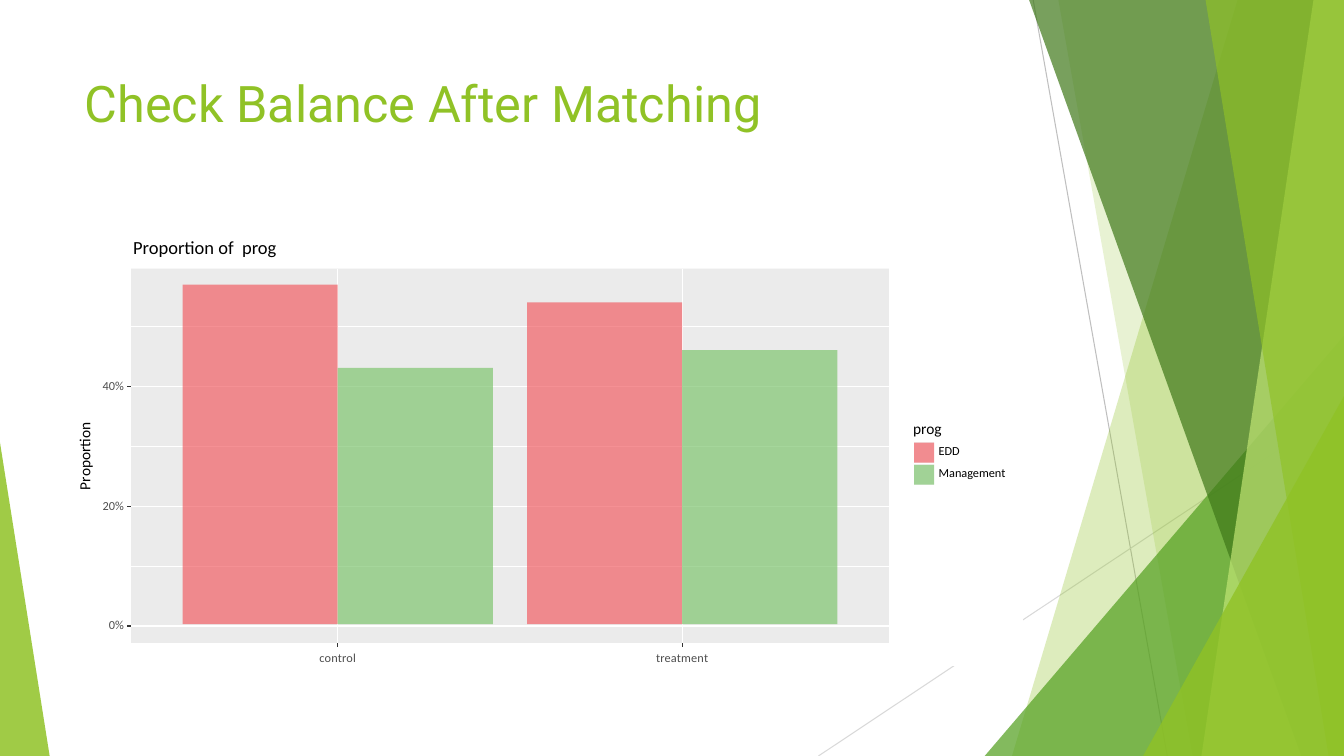
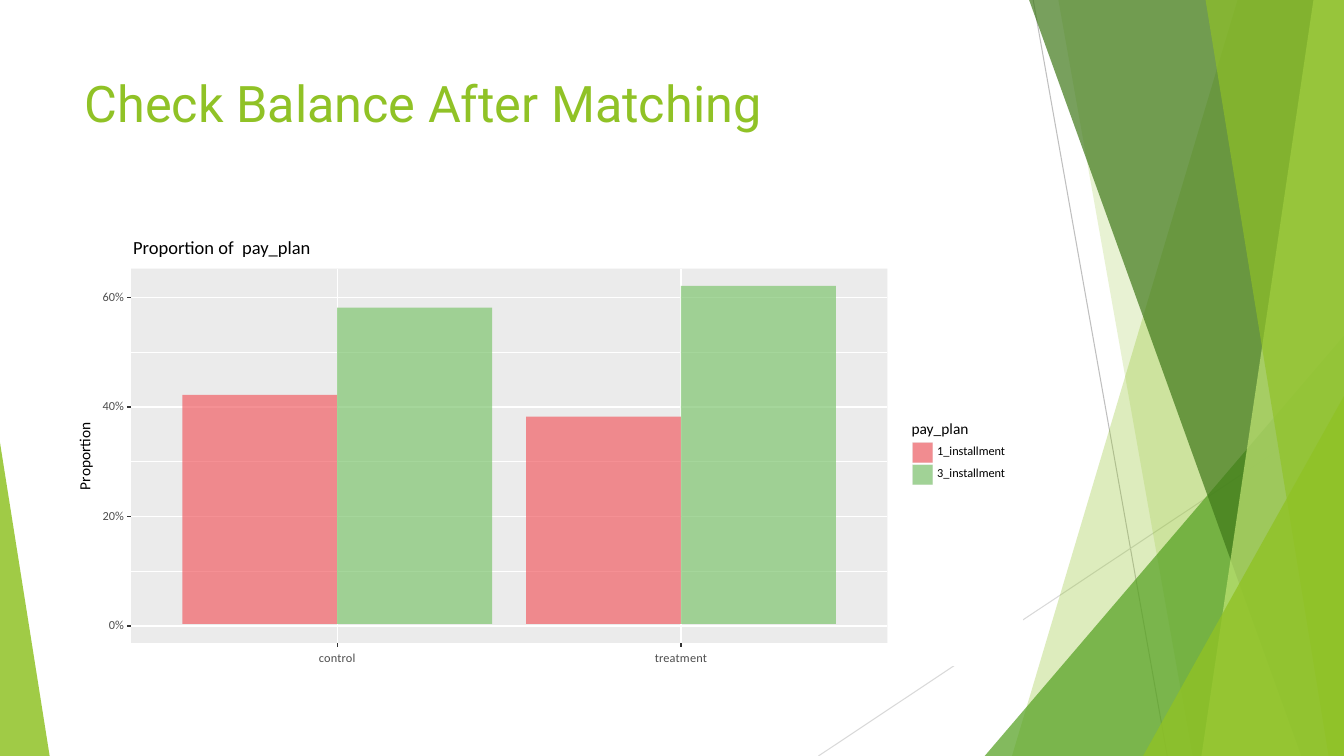
from pptx import Presentation
from pptx.chart.data import CategoryChartData
from pptx.dml.color import RGBColor
from pptx.enum.chart import XL_CHART_TYPE, XL_TICK_LABEL_POSITION, XL_TICK_MARK
from pptx.enum.shapes import MSO_CONNECTOR, MSO_SHAPE
from pptx.enum.text import MSO_ANCHOR, PP_ALIGN
from pptx.oxml import parse_xml
from pptx.oxml.ns import nsdecls, qn
from pptx.util import Pt

RECTANGLE = MSO_SHAPE.RECTANGLE
TRIANGLE = MSO_SHAPE.ISOSCELES_TRIANGLE
STRAIGHT = MSO_CONNECTOR.STRAIGHT
LEFT, CENTER, RIGHT = PP_ALIGN.LEFT, PP_ALIGN.CENTER, PP_ALIGN.RIGHT
MIDDLE, TOP = MSO_ANCHOR.MIDDLE, MSO_ANCHOR.TOP
CLUSTERED = XL_CHART_TYPE.COLUMN_CLUSTERED
LABELS_LOW = XL_TICK_LABEL_POSITION.LOW
NO_TICK = XL_TICK_MARK.NONE

WHITE = RGBColor(0xFF, 0xFF, 0xFF)
BLACK = RGBColor(0x00, 0x00, 0x00)
LIME = RGBColor(0x90, 0xC2, 0x26)
PALE_LIME = RGBColor(0xC0, 0xE4, 0x74)
GREEN = RGBColor(0x54, 0xA0, 0x21)
DARK_GREEN = RGBColor(0x3F, 0x78, 0x19)
PANEL_GRAY = RGBColor(0xEB, 0xEB, 0xEB)
KEY_GRAY = RGBColor(0xF2, 0xF2, 0xF2)
LABEL_GRAY = RGBColor(0x4D, 0x4D, 0x4D)
TICK_GRAY = RGBColor(0x33, 0x33, 0x33)
LINE_GRAY = RGBColor(0xBF, 0xBF, 0xBF)
LIGHT_LINE_GRAY = RGBColor(0xD9, 0xD9, 0xD9)
BAR_RED = RGBColor(0xF1, 0x5A, 0x60)
BAR_GREEN = RGBColor(0x7A, 0xC3, 0x6A)
BAR_COLORS = (BAR_RED, BAR_GREEN)
BAR_OPACITY = 67
CHART_FONT = "Calibri"
SLIDE_WIDTH, SLIDE_HEIGHT = 960, 540


def paint(target, element, color, opacity=100, line=None):
    target.fill.solid()
    target.fill.fore_color.rgb = color
    if opacity < 100:
        fill_color = next(element.iter(qn("a:srgbClr")))
        fill_color.append(parse_xml(f'<a:alpha {nsdecls("a")} val="{opacity * 1000}"/>'))
    if line is None:
        target.line.fill.background()
    else:
        target.line.color.rgb = line
        target.line.width = Pt(1.07)


def add_text(slide, text, left, middle, width, size=8.8, color=BLACK, align=LEFT, rotation=0):
    height = size * 1.2
    box = slide.shapes.add_textbox(Pt(left), Pt(middle - height / 2), Pt(width), Pt(height))
    box.rotation = rotation
    frame = box.text_frame
    frame.word_wrap = False
    frame.vertical_anchor = MIDDLE
    frame.margin_left = frame.margin_right = frame.margin_top = frame.margin_bottom = 0
    paragraph = frame.paragraphs[0]
    paragraph.alignment = align
    paragraph.line_spacing = Pt(size)
    run = paragraph.add_run()
    run.text = text
    run.font.name = CHART_FONT
    run.font.size = Pt(size)
    run.font.color.rgb = color


presentation = Presentation()
presentation.slide_width = Pt(SLIDE_WIDTH)
presentation.slide_height = Pt(SLIDE_HEIGHT)
layout = presentation.slide_layouts[5]

layout_title = layout.placeholders[0]
layout_title.left, layout_title.top = Pt(53.3), Pt(48)
layout_title.width, layout_title.height = Pt(676.8), Pt(104)
layout_title.text_frame.vertical_anchor = TOP
next(layout_title.element.iter(qn("a:lstStyle"))).append(parse_xml(
    f'<a:lvl1pPr {nsdecls("a")} algn="l"><a:defRPr sz="3600">'
    f'<a:solidFill><a:srgbClr val="{LIME}"/></a:solidFill>'
    '<a:latin typeface="Roboto"/></a:defRPr></a:lvl1pPr>'))

slides = [presentation.slides.add_slide(layout) for _ in range(2)]

drawing = slides[0].shapes
decoration = []
for start_x, start_y, end_x, end_y, color in (
    (738, 0, 833.8, 540, LINE_GRAY),
    (960, 290.2, 584.6, 540, LIGHT_LINE_GRAY),
):
    line = drawing.add_connector(STRAIGHT, Pt(start_x), Pt(start_y), Pt(end_x), Pt(end_y))
    line.line.color.rgb = color
    line.line.width = Pt(0.75)
    decoration.append(line)

for color, opacity, geometry in (
    (LIME, 30, (884, 722.9)),
    (LIME, 20, (756, 851.8)),
    (GREEN, 72, (703.4, 239.8, 256.6, 1)),
    (DARK_GREEN, 70, (735.1, 929.5)),
    (PALE_LIME, 70, (938.2, 858.2)),
    (LIME, 65, (861.1, 949)),
    (LIME, 80, (816.5, 283, 143.5, 1)),
    (LIME, 85, (0, 316, 35.5, 0)),
):
    if len(geometry) == 2:
        top_x, bottom_x = geometry
        builder = drawing.build_freeform(Pt(top_x), 0)
        builder.add_line_segments([
            (Pt(SLIDE_WIDTH), 0),
            (Pt(SLIDE_WIDTH), Pt(SLIDE_HEIGHT)),
            (Pt(bottom_x), Pt(SLIDE_HEIGHT)),
        ])
        facet = builder.convert_to_shape()
    else:
        left, top, width, apex = geometry
        facet = drawing.add_shape(TRIANGLE, Pt(left), Pt(top), Pt(width), Pt(SLIDE_HEIGHT - top))
        facet.adjustments[0] = apex
    paint(facet, facet.element, color, opacity)
    decoration.append(facet)

for position, shape in enumerate(decoration, start=2):
    layout.shapes.element.insert(position, shape.element)

CHART_LEFT, CHART_TOP, CHART_WIDTH, CHART_HEIGHT = 53.3, 169.9, 676.8, 305.3
PANEL_LEFT, PANEL_TOP, PANEL_HEIGHT = 93.6, 192, 267.3
PANEL_BOTTOM = PANEL_TOP + PANEL_HEIGHT
PLOT_HEIGHT = PANEL_HEIGHT + 1.2
TICK_LENGTH = 2.7
KEY_SIZE, KEY_TOP, KEY_INSET = 15.8, 315.4, 0.8

charts = (
    ("prog", 541.4, -2.8, 59.7, {"EDD": (57, 54), "Management": (43, 46)}),
    ("pay_plan", 540.3, -3.1, 65.2, {"1_installment": (42, 38), "3_installment": (58, 62)}),
)

for slide, (variable, panel_width, axis_minimum, axis_maximum, proportions) in zip(slides, charts):
    slide.shapes.title.text = "Check Balance After Matching"
    points_per_percent = PANEL_HEIGHT / (axis_maximum - axis_minimum)
    panel_right = PANEL_LEFT + panel_width
    category_width = panel_width / 2.2
    plot_left = PANEL_LEFT + 0.1 * category_width

    for color, outline, left, top, width, height in (
        (WHITE, WHITE, CHART_LEFT, CHART_TOP, CHART_WIDTH, CHART_HEIGHT),
        (PANEL_GRAY, None, PANEL_LEFT, PANEL_TOP, panel_width, PANEL_HEIGHT),
    ):
        panel = slide.shapes.add_shape(RECTANGLE, Pt(left), Pt(top), Pt(width), Pt(height))
        paint(panel, panel.element, color, line=outline)

    lines = []
    for percent in range(0, int(axis_maximum) + 1, 10):
        y = PANEL_BOTTOM - (percent - axis_minimum) * points_per_percent
        major = percent % 20 == 0
        lines.append((PANEL_LEFT, y, panel_right, y, WHITE, 1.07 if major else 0.53))
        if major:
            lines.append((PANEL_LEFT - TICK_LENGTH, y, PANEL_LEFT, y, TICK_GRAY, 1.07))
            add_text(slide, f"{percent}%", CHART_LEFT, y, 35.2, color=LABEL_GRAY, align=RIGHT)
    for category in range(2):
        x = plot_left + (category + 0.5) * category_width
        lines.append((x, PANEL_TOP, x, PANEL_BOTTOM, WHITE, 1.07))
        lines.append((x, PANEL_BOTTOM, x, PANEL_BOTTOM + TICK_LENGTH, TICK_GRAY, 1.07))
    for start_x, start_y, end_x, end_y, color, width in lines:
        line = slide.shapes.add_connector(STRAIGHT, Pt(start_x), Pt(start_y), Pt(end_x), Pt(end_y))
        line.line.color.rgb = color
        line.line.width = Pt(width)

    chart_data = CategoryChartData()
    chart_data.categories = ("control", "treatment")
    for name, values in proportions.items():
        chart_data.add_series(name, values)
    chart = slide.shapes.add_chart(
        CLUSTERED, Pt(CHART_LEFT), Pt(CHART_TOP), Pt(CHART_WIDTH), Pt(CHART_HEIGHT), chart_data).chart
    chart.has_title = False
    chart.has_legend = False
    chart.font.name = CHART_FONT
    chart.font.size = Pt(8.8)
    chart.font.color.rgb = LABEL_GRAY
    chart.value_axis.minimum_scale = axis_minimum
    chart.value_axis.maximum_scale = axis_maximum
    chart.value_axis.has_major_gridlines = False
    chart.value_axis.visible = False
    chart.category_axis.tick_label_position = LABELS_LOW
    chart.category_axis.major_tick_mark = NO_TICK
    chart.category_axis.format.line.fill.background()
    next(chart.element.iter(qn("c:lblOffset"))).set("val", "0")
    plot = chart.plots[0]
    plot.vary_by_categories = False
    plot.gap_width = 22
    plot.overlap = 0
    for series, series_element, color in zip(
            plot.series, chart.element.iter(qn("c:ser")), BAR_COLORS):
        series.invert_if_negative = False
        paint(series.format, series_element, color, BAR_OPACITY)

    chart_element = next(chart.element.iter(qn("c:chart")))
    plot_area = next(chart.element.iter(qn("c:plotArea")))
    for automatic_layout in plot_area.findall(qn("c:layout")):
        plot_area.remove(automatic_layout)
    plot_position = "".join(f'<c:{key} val="{value:.4f}"/>' for key, value in (
        ("x", (plot_left - CHART_LEFT) / CHART_WIDTH),
        ("y", (PANEL_TOP - CHART_TOP) / CHART_HEIGHT),
        ("w", 2 * category_width / CHART_WIDTH),
        ("h", PLOT_HEIGHT / CHART_HEIGHT),
    ))
    plot_area.insert(0, parse_xml(
        f'<c:layout {nsdecls("c")}><c:manualLayout><c:layoutTarget val="inner"/>'
        '<c:xMode val="edge"/><c:yMode val="edge"/>'
        f'{plot_position}</c:manualLayout></c:layout>'))
    clear_area = f'<c:spPr {nsdecls("c", "a")}><a:noFill/><a:ln><a:noFill/></a:ln></c:spPr>'
    plot_area.append(parse_xml(clear_area))
    chart_element.addnext(parse_xml(clear_area))

    add_text(slide, f"Proportion of  {variable}", PANEL_LEFT + 1.5, 177.6, 140, size=13.2)
    add_text(slide, "Proportion", 31.2, 325.8, 60, size=11, align=CENTER, rotation=270)

    legend_left = panel_right + 17.2
    add_text(slide, variable, legend_left, 307.4, 60, size=11)
    for index, (name, color) in enumerate(zip(proportions, BAR_COLORS)):
        top = KEY_TOP + index * KEY_SIZE
        key = slide.shapes.add_shape(RECTANGLE, Pt(legend_left), Pt(top), Pt(KEY_SIZE), Pt(KEY_SIZE))
        paint(key, key.element, KEY_GRAY, line=WHITE)
        swatch_size = Pt(KEY_SIZE - 2 * KEY_INSET)
        swatch = slide.shapes.add_shape(
            RECTANGLE, Pt(legend_left + KEY_INSET), Pt(top + KEY_INSET), swatch_size, swatch_size)
        paint(swatch, swatch.element, color, BAR_OPACITY)
        add_text(slide, name, legend_left + 18.3, top + KEY_SIZE / 2 - 0.5, 60)

for page in (layout, *slides):
    for properties in page.shapes.element.iter(qn("p:spPr")):
        if properties.find(qn("a:effectLst")) is None:
            properties.append(parse_xml(f'<a:effectLst {nsdecls("a")}/>'))

presentation.save("out.pptx")
